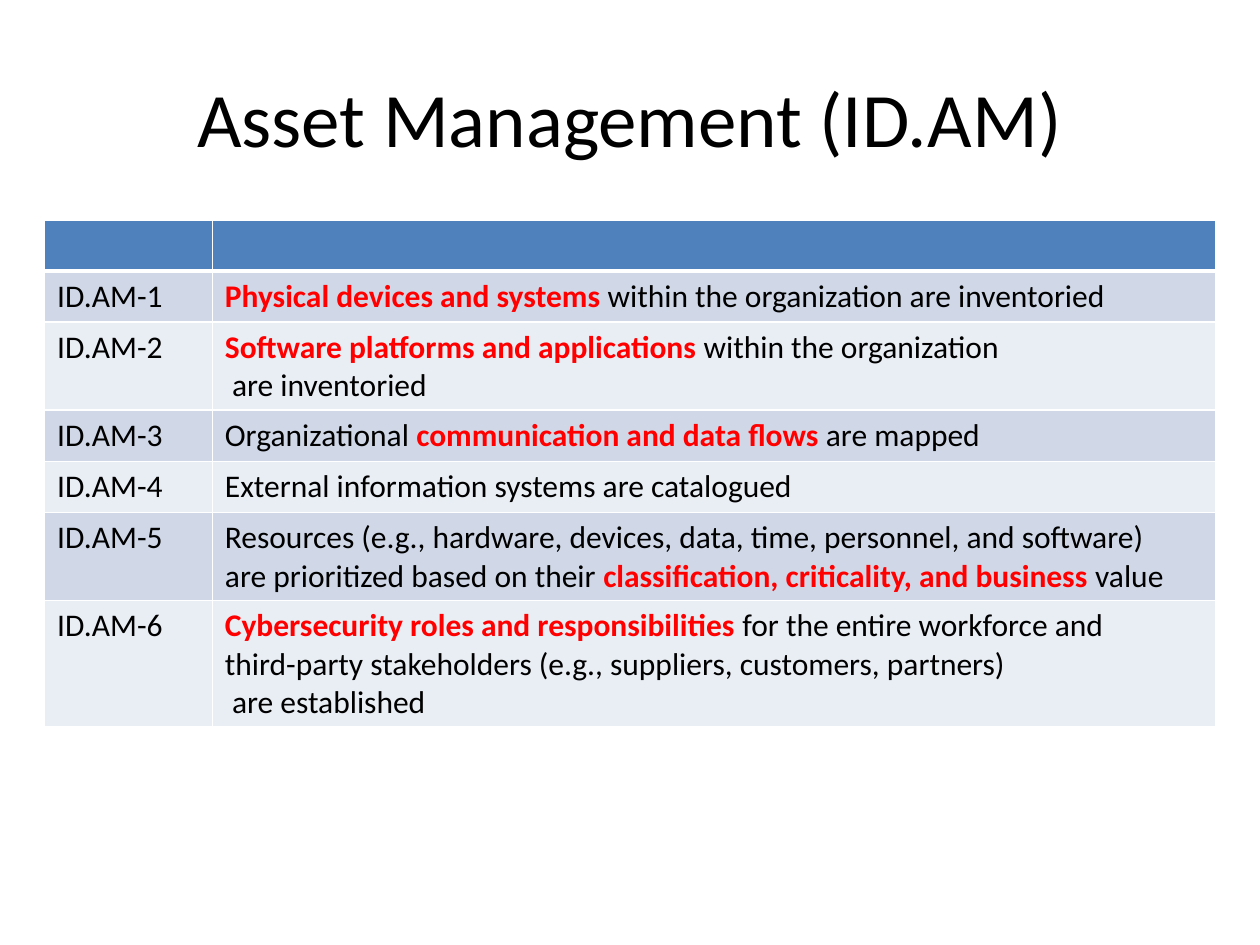
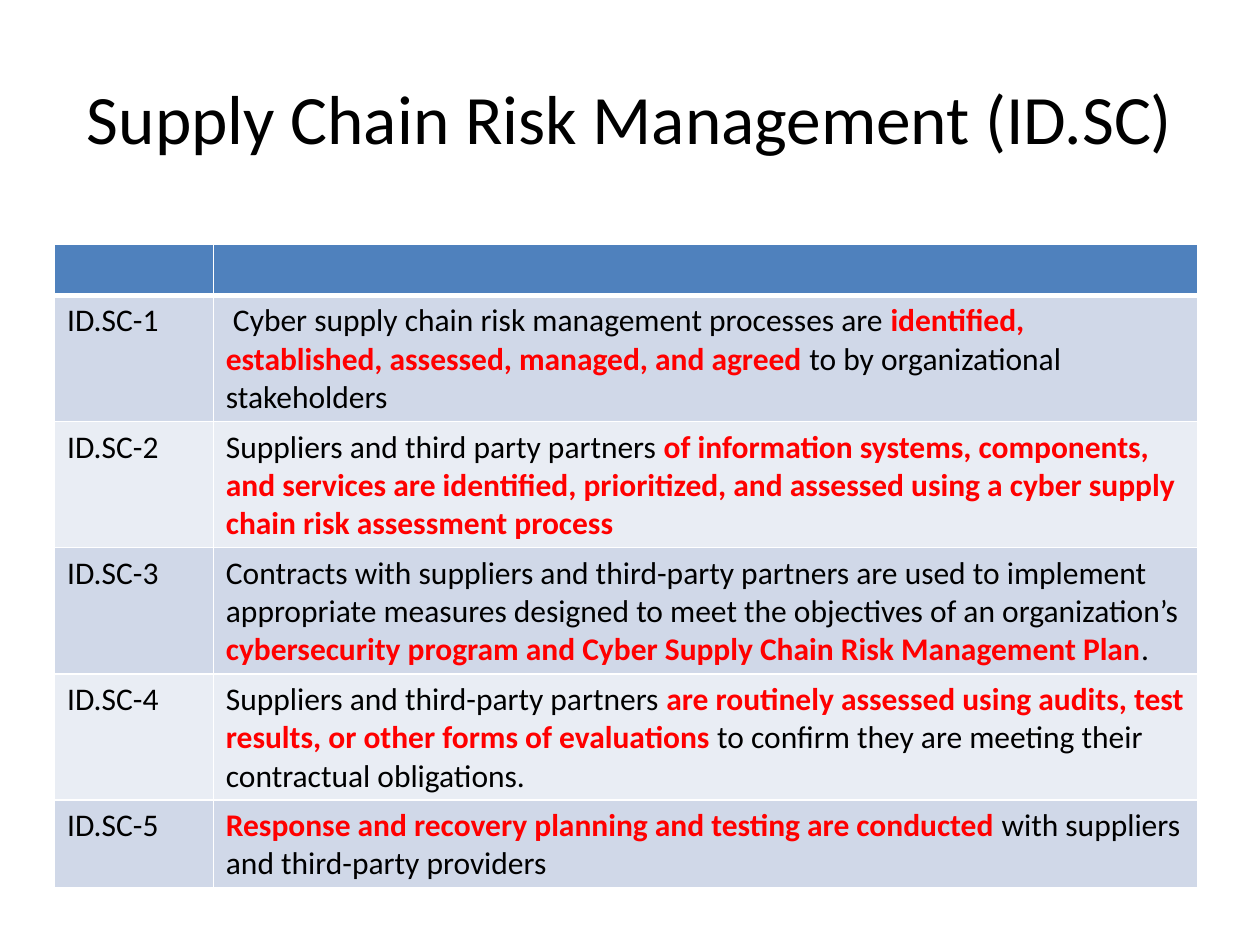
from dataclasses import dataclass

from pptx import Presentation
from pptx.dml.color import RGBColor
from pptx.enum import text
from pptx.oxml import parse_xml
from pptx.oxml.ns import nsdecls
from pptx.util import Cm, Pt


@dataclass(frozen=True)
class Theme:
    font: str = "Calibri"
    ink: str = "000000"
    emphasis: str = "FF0000"
    header: str = "4F81BD"
    bands: tuple = ("D0D8E8", "E9EDF4")
    rule: str = "FFFFFF"
    thin: float = 1
    thick: float = 3
    body_size: float = 18


THEME = Theme()

# Emphasised words stand between asterisks; a line break starts a paragraph.
ASSET_CONTROLS = [
    "*Physical devices and systems *within the organization are inventoried",
    "*Software platforms and applications *within the organization\n"
    " are inventoried",
    "Organizational *communication and data flows *are mapped",
    "External information systems are catalogued",
    "Resources (e.g., hardware, devices, data, time, personnel, and software)\n"
    "are prioritized based on their *classification, criticality, and business *value",
    "*Cybersecurity roles and responsibilities *for the entire workforce and\n"
    "third-party stakeholders (e.g., suppliers, customers, partners)\n"
    " are established",
]
SUPPLY_CONTROLS = [
    " Cyber supply chain risk management processes are *identified, established, "
    "assessed, managed, and agreed *to by organizational stakeholders",
    "Suppliers and third party partners *of information systems, components, and "
    "services are identified, prioritized, and assessed using a cyber supply chain "
    "risk assessment process*",
    "Contracts with suppliers and third-party partners are used to implement "
    "appropriate measures designed to meet the objectives of an organization’s "
    "*cybersecurity program and Cyber Supply Chain Risk Management Plan*.",
    "Suppliers and third-party partners *are routinely assessed using audits, test "
    "results, or other forms of evaluations* to confirm they are meeting their "
    "contractual obligations.",
    "*Response and recovery planning and testing are conducted *with suppliers and "
    "third-party providers",
]


def add_run(paragraph, words, size, color=THEME.ink, bold=False):
    run = paragraph.add_run()
    run.text = words
    for name, value in {"name": THEME.font, "size": Pt(size), "bold": bold}.items():
        setattr(run.font, name, value)
    run.font.color.rgb = RGBColor.from_string(color)


def add_title(slide, words, size):
    frame = slide.shapes.add_textbox(Cm(1.27), Cm(0.76), Cm(22.86), Cm(3.18)).text_frame
    frame.word_wrap = True
    frame.vertical_anchor = text.MSO_ANCHOR.MIDDLE
    title = frame.paragraphs[0]
    title.alignment = text.PP_ALIGN.CENTER
    add_run(title, words, size)


def write_marked(cell, marked):
    """Write text in which every second part between asterisks is emphasised."""
    for index, line in enumerate(marked.split("\n")):
        frame = cell.text_frame
        paragraph = frame.add_paragraph() if index else frame.paragraphs[0]
        for part, words in enumerate(line.split("*")):
            if words:
                strong = part % 2 == 1
                color = THEME.emphasis if strong else THEME.ink
                add_run(paragraph, words, THEME.body_size, color, strong)


def style_cell(cell, fill, top, bottom):
    # Borders come before the fill in the cell properties
    properties = cell._tc.get_or_add_tcPr()
    widths = {"L": THEME.thin, "R": THEME.thin, "T": top, "B": bottom}
    for side, width in widths.items():
        properties.append(parse_xml(
            f'<a:ln{side} {nsdecls("a")} w="{Pt(width)}"><a:solidFill>'
            f'<a:srgbClr val="{THEME.rule}"/></a:solidFill></a:ln{side}>'))
    cell.fill.solid()
    cell.fill.fore_color.rgb = RGBColor.from_string(fill)


def add_controls(slide, prefix, controls, left, top, columns, height):
    frame = slide.shapes.add_table(len(controls) + 1, len(columns), Cm(left), Cm(top),
                                   Cm(sum(columns)), Cm(height))
    table = frame.table
    table.first_row = table.horz_banding = False
    for column, width in zip(table.columns, columns):
        column.width = Cm(width)
    # Rows start at one line and grow with their text
    for index, row in enumerate(table.rows):
        row.height = Cm(1.03)
        fill = THEME.bands[(index - 1) % 2] if index else THEME.header
        above = THEME.thick if index == 1 else THEME.thin
        below = THEME.thick if index == 0 else THEME.thin
        for cell in row.cells:
            style_cell(cell, fill, above, below)
    frame.height = Cm(height)

    # Control numbers and their descriptions
    for number, control in enumerate(controls, 1):
        write_marked(table.cell(number, 0), f"{prefix}-{number}")
        write_marked(table.cell(number, 1), control)


def main():
    deck = Presentation()
    deck.slide_width, deck.slide_height = Cm(25.4), Cm(19.05)
    blank = deck.slide_layouts[6]

    # Asset management
    assets = deck.slides.add_slide(blank)
    add_title(assets, "Asset Management (ID.AM)", 44)
    add_controls(assets, "ID.AM", ASSET_CONTROLS, 0.9, 4.43, (3.38, 20.22), 10.21)

    # Supply chain risk management
    supply = deck.slides.add_slide(blank)
    add_title(supply, "Supply Chain Risk Management (ID.SC)", 39.6)
    add_controls(supply, "ID.SC", SUPPLY_CONTROLS, 1.1, 4.93, (3.2, 19.84), 12.22)

    deck.save("out.pptx")


if __name__ == "__main__":
    main()
